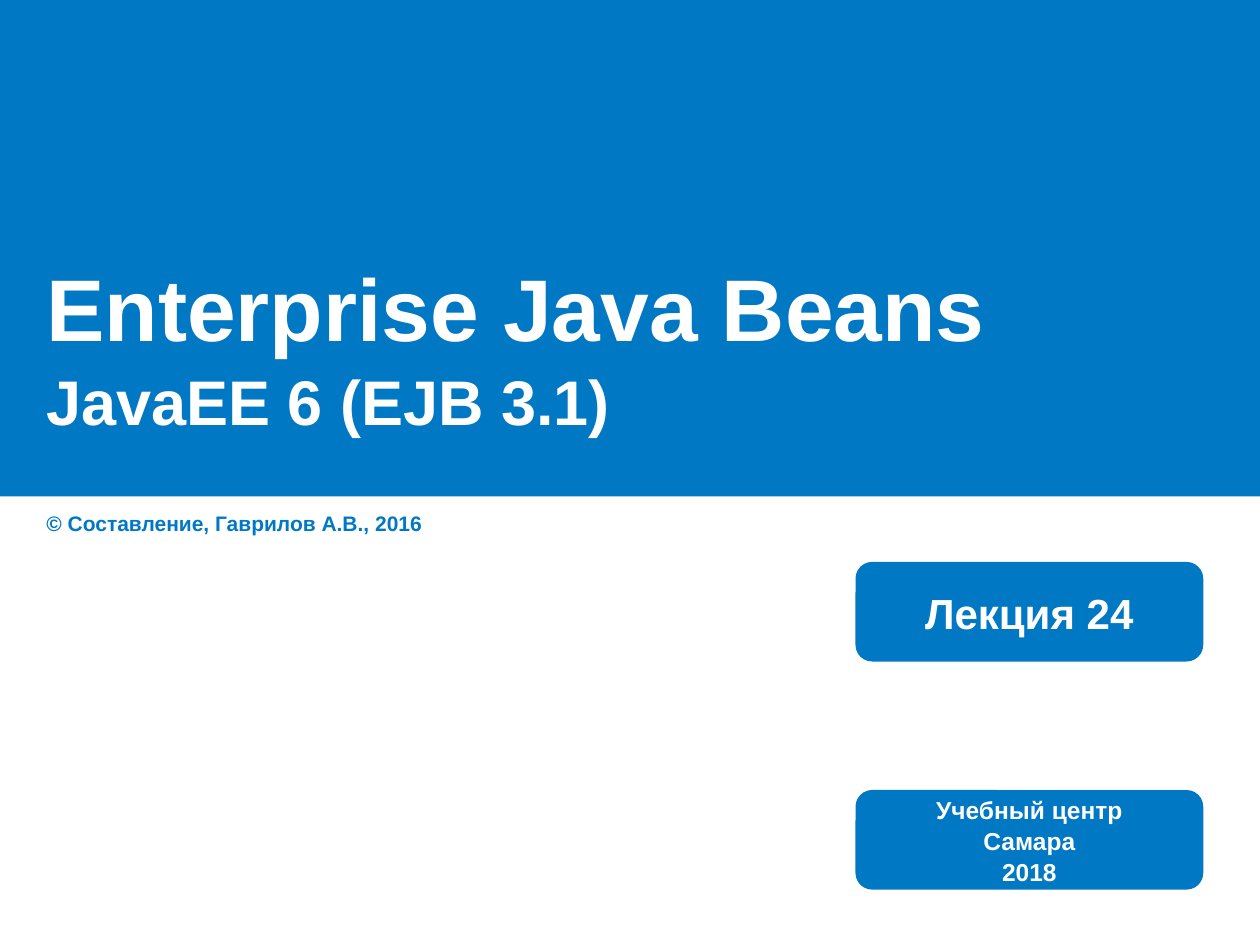
from pptx import Presentation
from pptx import util as u
from pptx.dml.color import RGBColor
from pptx.enum import shapes, text

COLORS = {"blue": "0078C3", "white": "FFFFFF"}
MIDDLE = text.MSO_ANCHOR.MIDDLE
CENTER = text.PP_ALIGN.CENTER


def set_values(target, values):
    """Set each attribute of target from a dict."""
    for name, value in values.items():
        setattr(target, name, value)


def write_lines(shape, lines, color, frame_format, alignment=None):
    """Write one bold paragraph for each pair of words and size."""
    frame = shape.text_frame
    set_values(frame, frame_format)
    for index, (words, size) in enumerate(lines):
        paragraph = frame.paragraphs[0] if index == 0 else frame.add_paragraph()
        set_values(paragraph, {"alignment": alignment, "line_spacing": 1.05})
        run = paragraph.add_run()
        run.text = words
        set_values(run.font, {"name": "Arial", "size": u.Pt(size), "bold": True})
        run.font.color.rgb = RGBColor.from_string(COLORS[color])


def add_panel(slide, kind, box):
    """Add a plain blue shape that fills the box."""
    shape = slide.shapes.add_shape(kind, *map(u.Inches, box))
    shape.shadow.inherit = False
    shape.fill.solid()
    shape.fill.fore_color.rgb = RGBColor.from_string(COLORS["blue"])
    shape.line.fill.background()
    return shape


def add_banner(slide, box):
    """Add the blue banner with the lecture title in its lower part."""
    left, top, width, height = box
    add_panel(slide, shapes.MSO_SHAPE.RECTANGLE, box)
    title_box = (left + 0.27, top + 1.49, width - 0.55, height - 1.52)
    title = slide.shapes.add_textbox(*map(u.Inches, title_box))
    frame_format = {"word_wrap": True, "vertical_anchor": MIDDLE, "margin_top": u.Inches(0.1)}
    lines = [("Enterprise Java Beans", 50), ("JavaEE 6 (EJB 3.1)", 36)]
    write_lines(title, lines, "white", frame_format)


def add_copyright(slide, box):
    """Add the author line below the banner."""
    note = slide.shapes.add_textbox(*map(u.Inches, box))
    frame_format = {"word_wrap": True, "auto_size": text.MSO_AUTO_SIZE.SHAPE_TO_FIT_TEXT}
    write_lines(note, [("© Составление, Гаврилов А.В., 2016", 12)], "blue", frame_format)


def add_badge(slide, box, lines):
    """Add a rounded badge with centred lines."""
    badge = add_panel(slide, shapes.MSO_SHAPE.ROUNDED_RECTANGLE, box)
    frame_format = {"word_wrap": False, "vertical_anchor": MIDDLE}
    write_lines(badge, lines, "white", frame_format, CENTER)


def main():
    """Build the title slide and save it."""
    presentation = Presentation()
    set_values(presentation, {"slide_width": u.Inches(10), "slide_height": u.Inches(7.5)})
    slide = presentation.slides.add_slide(presentation.slide_layouts[6])
    add_banner(slide, (0, 0, 10, 3.94))
    add_copyright(slide, (0.27, 3.99, 4.88, 0.3))
    badges = [
        (4.46, [("Лекция 24", 24)]),
        (6.27, [("Учебный центр", 14), ("Самара", 14), ("2018", 14)]),
    ]
    for top, lines in badges:
        add_badge(slide, (6.79, top, 2.76, 0.79), lines)
    presentation.save("out.pptx")


if __name__ == "__main__":
    main()
